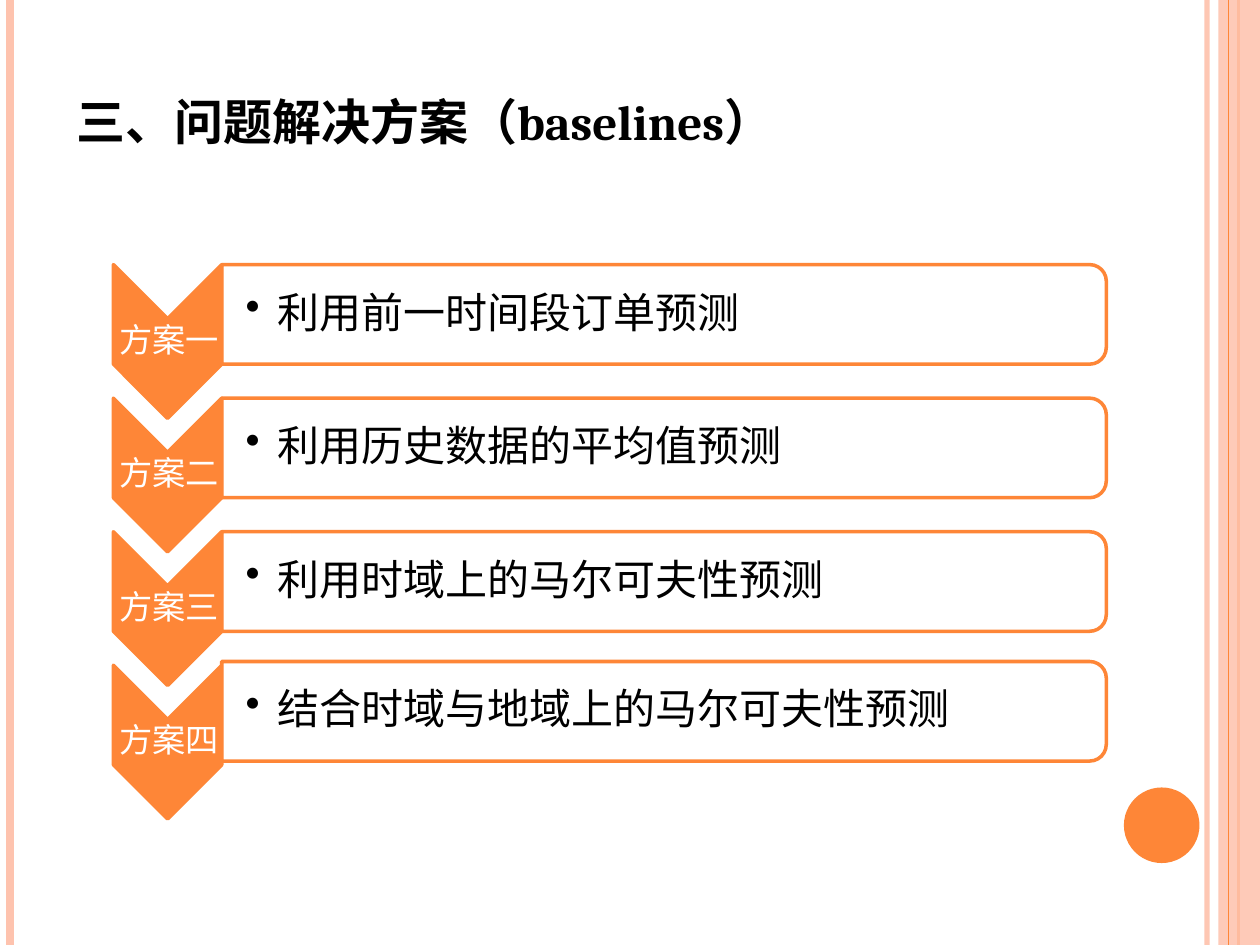
from lxml import etree
from pptx import Presentation
from pptx.dml.color import RGBColor
from pptx.enum.shapes import MSO_CONNECTOR as CONN, MSO_SHAPE as SHAPE
from pptx.enum.text import MSO_ANCHOR as ANCHOR, MSO_AUTO_SIZE as AUTO, PP_ALIGN as ALIGN
from pptx.oxml.ns import qn
from pptx.util import Inches, Pt

WIDTH, HEIGHT = 10, 7.5
FONT = "Cambria"
ORANGE = RGBColor(0xFE, 0x86, 0x37)
PEACH = RGBColor(0xFE, 0xC3, 0xAE)
WHITE = RGBColor(0xFF, 0xFF, 0xFF)
BLACK = RGBColor(0, 0, 0)

TITLE = "三、问题解决方案（baselines）"
PLANS = [
    ("方案一", "利用前一时间段订单预测", 0),
    ("方案二", "利用历史数据的平均值预测", 0),
    ("方案三", "利用时域上的马尔可夫性预测", 0),
    ("方案四", "结合时域与地域上的马尔可夫性预测", -0.03),
]


def set_alpha(fill, percent):
    color = fill._xPr.find(qn("a:solidFill"))[0]
    etree.SubElement(color, qn("a:alpha")).set("val", str(percent * 1000))


def add_block(s, kind, box, fill, line=None, alpha=100, turned=False):
    x, y, w, h = box
    if turned:
        x, y, w, h = x + (w - h) / 2, y + (h - w) / 2, h, w
    sp = s.shapes.add_shape(kind, *map(Inches, (x, y, w, h)))
    sp.rotation = 90 if turned else 0
    sp.shadow.inherit = False
    sp.fill.solid()
    sp.fill.fore_color.rgb = fill
    if alpha < 100:
        set_alpha(sp.fill, alpha)
    if line is None:
        sp.line.fill.background()
    else:
        sp.line.color.rgb = line
        sp.line.width = Pt(2)
    return sp


def add_stripe(s, x, color, width, alpha=100):
    ln = s.shapes.add_connector(CONN.STRAIGHT, Inches(x), 0, Inches(x), Inches(HEIGHT))
    ln.line.color.rgb = color
    ln.line.width = Pt(width)
    if alpha < 100:
        set_alpha(ln.line.fill, alpha)
    etree.SubElement(ln._element.spPr, qn("a:effectLst"))


def add_run(p, text, size, color, bold=False):
    r = p.add_run()
    r.text = text
    r.font.name, r.font.size, r.font.bold = FONT, Pt(size), bold
    r.font.color.rgb = color


def add_label(s, box, text, size, color, left_inset, inset):
    tf = s.shapes.add_textbox(*map(Inches, box)).text_frame
    tf.word_wrap = True
    tf.vertical_anchor = ANCHOR.MIDDLE
    tf.margin_left = Inches(left_inset)
    tf.margin_top = tf.margin_right = tf.margin_bottom = Inches(inset)
    p = tf.paragraphs[0]
    p.line_spacing = 0.9
    add_run(p, text, size, color)
    return p


def add_bullet(p, indent):
    pPr = p._p.get_or_add_pPr()
    pPr.set("marL", str(Inches(indent)))
    pPr.set("indent", str(-Inches(indent)))
    etree.SubElement(pPr, qn("a:buChar")).set("char", "•")


def draw_frame(s):
    add_stripe(s, 9.58, PEACH, 3, 93)
    add_stripe(s, 0.08, PEACH, 4.5)
    add_stripe(s, 9.83, ORANGE, 1.5)
    add_block(s, SHAPE.RECTANGLE, (9.67, 0, 0.33, HEIGHT), PEACH, alpha=87)
    add_stripe(s, 9.75, ORANGE, 0.75)
    add_block(s, SHAPE.OVAL, (8.92, 6.25, 0.6, 0.6), ORANGE)


def draw_title(s, x, y, w, h):
    sp = s.shapes.title
    sp.left, sp.top, sp.width, sp.height = map(Inches, (x, y, w, h))
    tf = sp.text_frame
    tf.word_wrap = False
    tf.auto_size = AUTO.SHAPE_TO_FIT_TEXT
    tf.vertical_anchor = ANCHOR.TOP
    p = tf.paragraphs[0]
    p.alignment = ALIGN.LEFT
    add_run(p, TITLE, 28, BLACK, True)


def draw_plan(s, x, y, w, name, text, shift):
    arrow_w, arrow_h, bar_h = 0.86, 1.22, 0.79
    bar_x, bar_w, bar_y = x + arrow_w, w - arrow_w, y + shift
    add_block(s, SHAPE.CHEVRON, (x, y, arrow_w, arrow_h), ORANGE, ORANGE, turned=True)
    p = add_label(s, (x + 0.01, y + arrow_w / 2, arrow_w, arrow_h - arrow_w),
                  name, 19, WHITE, 0.01, 0.01)
    p.alignment = ALIGN.CENTER
    add_block(s, SHAPE.ROUND_2_SAME_RECTANGLE, (bar_x, bar_y, bar_w, bar_h),
              WHITE, ORANGE, 90, turned=True)
    p = add_label(s, (bar_x, bar_y + 0.04, bar_w - 0.04, bar_h - 0.08),
                  text, 24, BLACK, 0.19, 0.02)
    add_bullet(p, 0.25)


def draw_plans(s, x, y, w, pitch):
    for i, plan in enumerate(PLANS):
        draw_plan(s, x, y + i * pitch, w, *plan)


def main():
    prs = Presentation()
    prs.slide_width, prs.slide_height = Inches(WIDTH), Inches(HEIGHT)
    s = prs.slides.add_slide(prs.slide_layouts[5])
    draw_frame(s)
    draw_title(s, 0.51, 0.68, 6.04, 0.57)
    draw_plans(s, 0.9, 2.1, 7.88, 1.06)
    prs.save("out.pptx")


if __name__ == "__main__":
    main()
